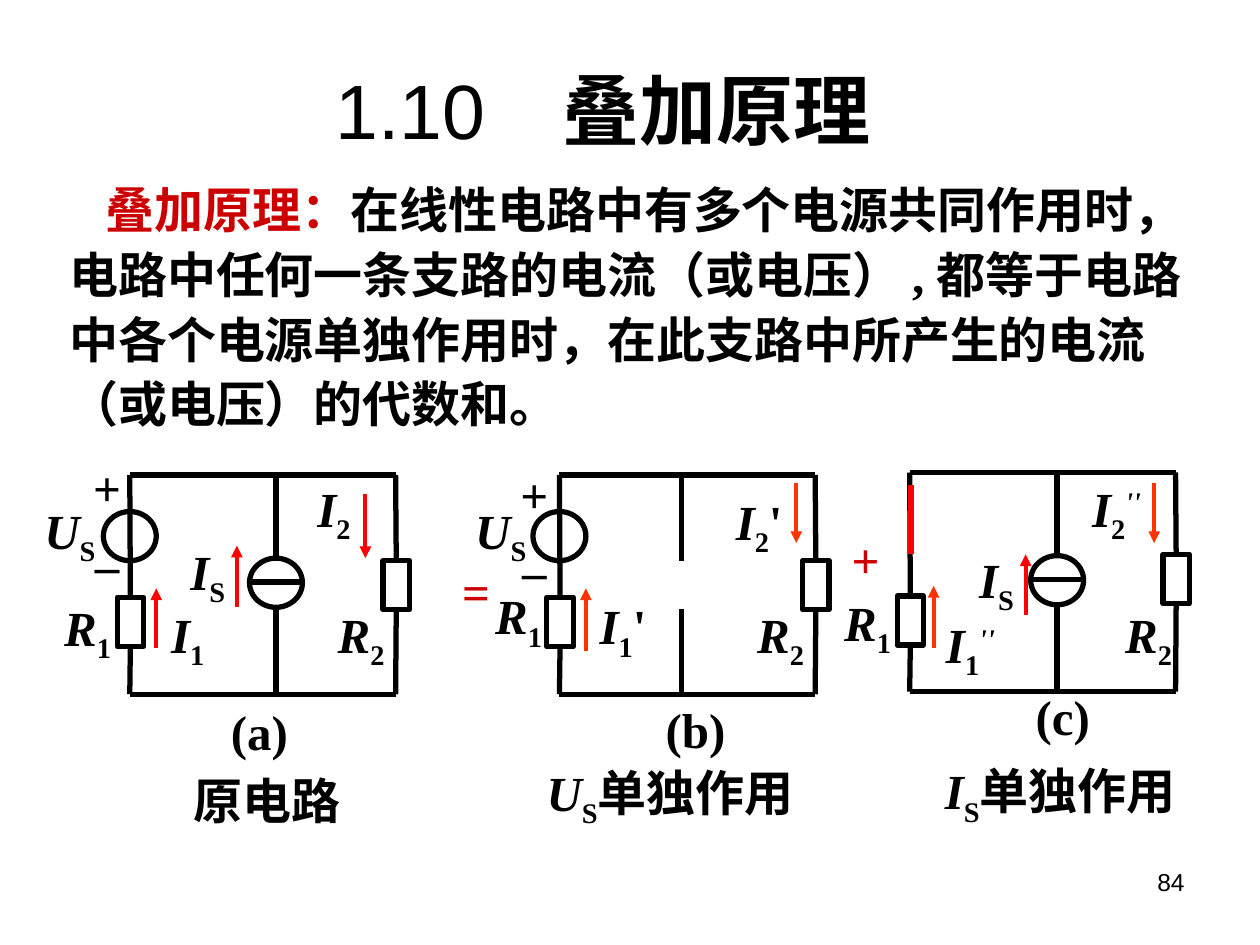
from lxml import etree
from pptx import Presentation
from pptx.dml.color import RGBColor
from pptx.enum.shapes import MSO_CONNECTOR, MSO_SHAPE
from pptx.enum.text import MSO_ANCHOR, MSO_AUTO_SIZE, PP_ALIGN
from pptx.oxml.ns import qn
from pptx.util import Inches, Pt

COLORS = {"black": "000000", "darkred": "CC0000", "red": "FF0000", "orange": "FF3300"}
SERIF, SANS = "Times New Roman", "Arial"
LEFT, CENTER = PP_ALIGN.LEFT, PP_ALIGN.CENTER

prs = Presentation()
prs.slide_width, prs.slide_height = Inches(10), Inches(7.5)
s = prs.slides.add_slide(prs.slide_layouts[1])


def write(p, text, size=28, font=SERIF, color="black", bold=True, italic=False, base=0):
    r = p.add_run()
    r.text = text
    r.font.size, r.font.name = Pt(size), font
    r.font.bold, r.font.italic = bold, italic
    r.font.color.rgb = RGBColor.from_string(COLORS[color])
    if base:
        r.font._element.set("baseline", str(base * 1000))


def wire(x1, y1, x2, y2, color="black", width=3, arrow=False):
    c = s.shapes.add_connector(MSO_CONNECTOR.STRAIGHT, Inches(x1), Inches(y1), Inches(x2), Inches(y2))
    c.line.color.rgb = RGBColor.from_string(COLORS[color])
    c.line.width = Pt(width)
    if arrow:
        etree.SubElement(c.line._get_or_add_ln(), qn("a:tailEnd"), type="triangle")
    etree.SubElement(c._element.spPr, qn("a:effectLst"))
    return c


# Title
title = s.shapes.title
title.left, title.top, title.width, title.height = Inches(1.25), Inches(0.42), Inches(7.08), Inches(0.88)
title.text_frame.vertical_anchor = MSO_ANCHOR.MIDDLE
p = title.text_frame.paragraphs[0]
p.alignment = CENTER
write(p, "1.10　", size=44, font=SANS, bold=False)
write(p, "叠加原理", size=44, font=SANS)

# Statement of the principle
body = s.placeholders[1]
body.left, body.top, body.width, body.height = Inches(0.45), Inches(1.33), Inches(9.14), Inches(2.16)
body.text_frame.auto_size = MSO_AUTO_SIZE.NONE
p = body.text_frame.paragraphs[0]
pPr = p._p.get_or_add_pPr()
pPr.set("marL", "0")
pPr.set("indent", str(Inches(0.29)))
etree.SubElement(pPr, qn("a:buNone"))
p.line_spacing, p.space_before = 1.1, Pt(0)
write(p, "叠加原理：", color="darkred")
write(p, "在线性电路中有多个电源共同作用时，电路中任何一条支路的电流（或电压） , "
         "都等于电路中各个电源单独作用时，在此支路中所产生的电流（或电压）的代数和。")

# Circuits: left, middle and right branch, top and bottom wire,
# tops of R1 and R2, voltage source present, current source present
circuits = [
    (1.03, 2.19, 3.14, 3.77, 5.51, 4.74, 4.45, True, True),
    (4.44, 5.41, 6.47, 3.77, 5.51, 4.74, 4.45, True, False),
    (7.22, 8.39, 9.33, 3.75, 5.49, 4.73, 4.40, False, True),
]
for left, mid, right, top, bottom, r1_top, r2_top, has_us, has_is in circuits:
    for y in (top, bottom):
        wire(left, y, right, y)
    wire(mid, top, mid, top + 0.68)
    wire(mid, bottom - 0.68, mid, bottom)

    outlines = []
    for x, y in ((left, r1_top), (right, r2_top)):
        resistor = s.shapes.add_shape(MSO_SHAPE.RECTANGLE, Inches(x - 0.1), Inches(y), Inches(0.21), Inches(0.39))
        wire(x, top, x, y).end_connect(resistor, 0)
        wire(x, y + 0.39, x, bottom).begin_connect(resistor, 2)
        outlines.append(resistor)
    for x, y, present in ((left, 4.06, has_us), (mid, top + 0.66, has_is)):
        if present:
            outlines.append(s.shapes.add_shape(
                MSO_SHAPE.OVAL, Inches(x - 0.21), Inches(y), Inches(0.42), Inches(0.39)))
    if has_is:
        wire(mid - 0.21, top + 0.85, mid + 0.21, top + 0.85)
    for sp in outlines:
        sp.shadow.inherit = False
        sp.fill.background()
        sp.line.color.rgb = RGBColor.from_string(COLORS["black"])
        sp.line.width = Pt(3)

wire(7.23, 3.85, 7.23, 4.4, "red")

# Current arrows: x, start, end, colour
for x, y1, y2, color in [
    (1.24, 5.14, 4.67, "red"), (1.88, 4.82, 4.33, "red"), (2.9, 3.92, 4.43, "red"),
    (4.65, 5.17, 4.67, "orange"), (6.32, 3.83, 4.31, "orange"),
    (7.41, 5.14, 4.65, "orange"), (8.14, 4.88, 4.4, "red"), (9.16, 3.83, 4.31, "orange"),
]:
    wire(x, y1, x, y2, color, 2.25, arrow=True)

# Labels: left, top, width, height, alignment, line spacing, runs with style
STYLES = {
    "plain": {},
    "sans": {"font": SANS},
    "red": {"color": "darkred"},
    "var": {"italic": True},
    "sub": {"base": -25},
    "sup": {"base": 30, "italic": True},
    "page": {"size": 14, "font": SANS, "bold": False},
}
US = [("U", "var"), ("S", "sub")]
IS = [("I", "var"), ("S", "sub")]
R1 = [("R", "var"), ("1", "sub")]
R2 = [("R", "var"), ("2", "sub")]
I1 = [("I", "var"), ("1", "sub")]
I2 = [("I", "var"), ("2", "sub")]
labels = [
    # (a)
    (0.24, 3.92, 0.63, 0.57, CENTER, 1, US),
    (0.4, 4.69, 0.59, 0.57, CENTER, 1, R1),
    (2.57, 4.75, 0.59, 0.57, CENTER, 1, R2),
    (1.4, 4.25, 0.5, 0.57, CENTER, 1, IS),
    (1.25, 4.75, 0.48, 0.57, CENTER, 1, I1),
    (2.41, 3.75, 0.48, 0.57, CENTER, 1, I2),
    (1.73, 5.52, 0.66, 0.57, CENTER, 1, [("(a)", "plain")]),
    (1.44, 5.83, 1.37, 0.8, LEFT, 1.5, [("原电路", "plain")]),
    # (b)
    (3.57, 4.17, 0.42, 0.8, LEFT, 1.5, [("=", "red")]),
    (3.66, 3.92, 0.63, 0.57, CENTER, 1, US),
    (3.82, 4.6, 0.59, 0.57, CENTER, 1, R1),
    (5.9, 4.75, 0.59, 0.57, CENTER, 1, R2),
    (4.65, 4.68, 0.59, 0.57, CENTER, 1, I1 + [("'", "plain")]),
    (5.73, 3.85, 0.59, 0.57, CENTER, 1, I2 + [("'", "plain")]),
    (5.18, 5.5, 0.68, 0.57, CENTER, 1, [("(b)", "plain")]),
    (4.24, 6, 2.68, 0.57, LEFT, 1, US + [("单独作用", "sans")]),
    # (c)
    (6.66, 4.15, 0.42, 0.57, CENTER, 1, [("+", "red")]),
    (6.59, 4.65, 0.59, 0.57, CENTER, 1, R1),
    (8.82, 4.75, 0.59, 0.57, CENTER, 1, R2),
    (7.66, 4.31, 0.5, 0.57, CENTER, 1, IS),
    (7.41, 4.83, 0.63, 0.57, LEFT, 1, I1 + [("''", "sup")]),
    (8.57, 3.75, 0.63, 0.57, LEFT, 1, I2 + [("''", "sup")]),
    (8.12, 5.4, 0.63, 0.57, CENTER, 1, [("(c)", "plain")]),
    (7.4, 5.99, 2.18, 0.57, LEFT, 1, IS + [("单独作用", "plain")]),
    # Page number
    (7.17, 6.83, 2.33, 0.52, PP_ALIGN.RIGHT, 1, [("84", "page")]),
]
for x, y, w, h, align, spacing, runs in labels:
    tf = s.shapes.add_textbox(Inches(x), Inches(y), Inches(w), Inches(h)).text_frame
    tf.word_wrap = w > 2
    tf.vertical_anchor = MSO_ANCHOR.TOP
    p = tf.paragraphs[0]
    p.alignment, p.line_spacing = align, spacing
    for text, style in runs:
        write(p, text, **STYLES[style])

# Polarity of the voltage sources
for x, y in ((0.64, 3.58), (4.03, 3.63)):
    tf = s.shapes.add_textbox(Inches(x), Inches(y), Inches(0.42), Inches(1.18)).text_frame
    tf.word_wrap = True
    tf.vertical_anchor = MSO_ANCHOR.MIDDLE
    for p, sign in ((tf.paragraphs[0], "+"), (tf.add_paragraph(), "–")):
        p.alignment = CENTER
        write(p, sign)
    p.space_before = Pt(10)

prs.save("out.pptx")
